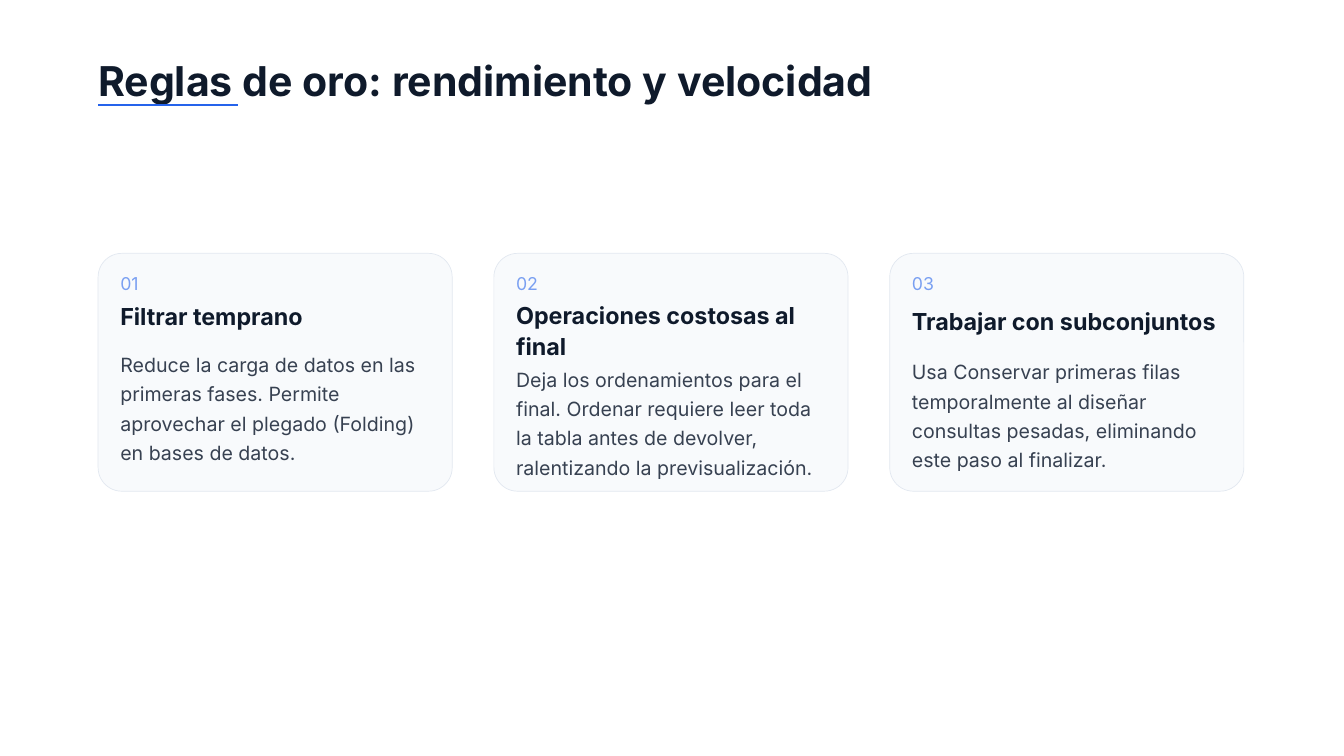
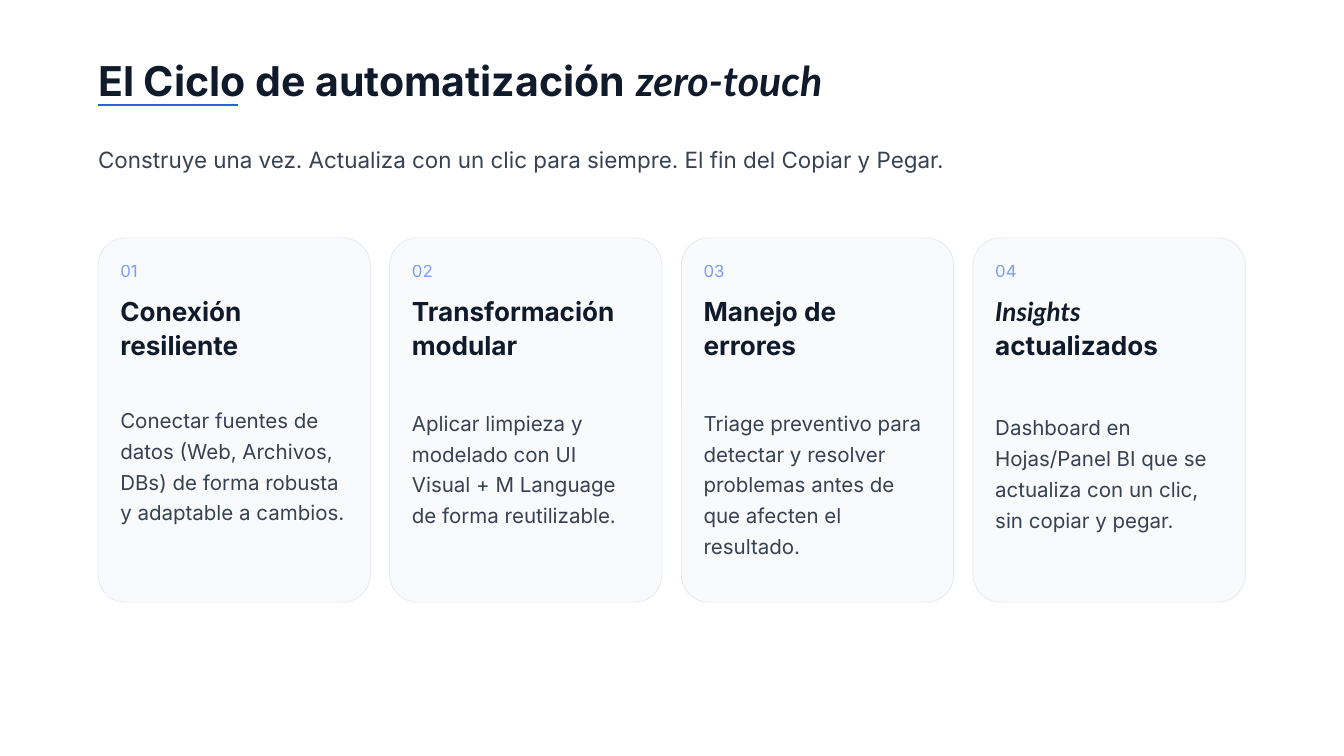
from lxml import etree
from pptx import Presentation
from pptx import util as u
from pptx.dml.color import RGBColor
from pptx.enum import shapes, text
from pptx.oxml.ns import qn

COLORS = {"ink": "0F1A2B", "body": "374151", "accent": "2563EB",
          "card": "F8FAFC", "border": "E2E8F0", "white": "FFFFFF"}
FORMATS = {
    "title": {"name": "Inter", "bold": True},
    "heading": {"name": "Inter", "bold": True},
    "body": {"name": "Inter"},
    "number": {"name": "Inter"},
}
TEXT_COLORS = {"title": "ink", "heading": "ink", "body": "body", "number": "accent"}
LEADING = {"title": 1.2, "heading": 1.3, "body": 1.5, "number": 1.4}
ITALIC = {"name": "Lato", "italic": True}
LEFT, WIDTH = 1.46, 17.08
PAD = 0.33


def rgb(name):
    return RGBColor.from_string(COLORS[name])


class Deck:
    def __init__(self):
        self.prs = Presentation()
        self.prs.slide_width, self.prs.slide_height = u.Inches(20), u.Inches(11.25)
        self.s = None

    def slide(self, title):
        self.s = self.prs.slides.add_slide(self.prs.slide_layouts[6])
        fill = self.s.background.fill
        fill.solid()
        fill.fore_color.rgb = rgb("white")
        self.text(LEFT, 0.83, WIDTH, "title", 44, title)
        self.rule(LEFT, 1.56, 2.08)

    def text(self, x, y, w, style, size, runs, lines=1):
        """Add a text box; runs is a string or a list of (text, extra format)."""
        leading = size * LEADING[style]
        box = self.s.shapes.add_textbox(u.Inches(x), u.Inches(y), u.Inches(w),
                                        u.Pt(lines * leading))
        tf = box.text_frame
        tf.word_wrap = True
        tf.auto_size = text.MSO_AUTO_SIZE.SHAPE_TO_FIT_TEXT
        for side in ("left", "top", "right", "bottom"):
            setattr(tf, f"margin_{side}", 0)
        p = tf.paragraphs[0]
        p.line_spacing = u.Pt(leading)
        for words, extra in [(runs, {})] if isinstance(runs, str) else runs:
            r = p.add_run()
            r.text = words
            for key, value in {**FORMATS[style], "size": u.Pt(size), **extra}.items():
                setattr(r.font, key, value)
            r.font.color.rgb = rgb(TEXT_COLORS[style])
            if style == "number":
                self.fade(r, 60)

    def fade(self, r, percent):
        """Set the opacity of a run's colour."""
        for color in r.font._element.iter(qn("a:srgbClr")):
            etree.SubElement(color, qn("a:alpha")).set("val", str(percent * 1000))

    def rule(self, x, y, w):
        line = self.s.shapes.add_connector(shapes.MSO_CONNECTOR.STRAIGHT, u.Inches(x),
                                           u.Inches(y), u.Inches(x + w), u.Inches(y))
        line.line.color.rgb = rgb("accent")
        line.line.width = u.Pt(2.25)
        etree.SubElement(line._element.spPr, qn("a:effectLst"))

    def panel(self, x, y, w, h):
        sp = self.s.shapes.add_shape(shapes.MSO_SHAPE.ROUNDED_RECTANGLE, u.Inches(x),
                                     u.Inches(y), u.Inches(w), u.Inches(h))
        sp.adjustments[0] = 0.1
        sp.shadow.inherit = False
        sp.fill.solid()
        sp.fill.fore_color.rgb = rgb("card")
        sp.line.color.rgb = rgb("border")
        sp.line.width = u.Pt(0.75)

    def cards(self, cards, top, w, h, gap, number_top, sizes):
        """Add a row of numbered cards: (heading, top, lines, body, top, lines)."""
        number_size, heading_size, body_size = sizes
        for i, (heading, head_top, head_lines, body, body_top, body_lines) in enumerate(cards):
            x = LEFT + i * (w + gap)
            inner = w - 2 * PAD
            self.panel(x, top, w, h)
            self.text(x + PAD, number_top, 0.62, "number", number_size, f"{i + 1:02}")
            self.text(x + PAD, head_top, inner, "heading", heading_size, heading, head_lines)
            self.text(x + PAD, body_top, inner, "body", body_size, body, body_lines)


def rules_slide(deck):
    deck.slide("Reglas de oro: rendimiento y velocidad")
    deck.cards([
        ("Filtrar temprano", 4.46, 1,
         "Reduce la carga de datos en las primeras fases. Permite aprovechar "
         "el plegado (Folding) en bases de datos.", 5.16, 4),
        ("Operaciones costosas al final", 4.45, 2,
         "Deja los ordenamientos para el final. Ordenar requiere leer toda la "
         "tabla antes de devolver, ralentizando la previsualización.", 5.38, 4),
        ("Trabajar con subconjuntos", 4.54, 1,
         "Usa Conservar primeras filas temporalmente al diseñar consultas "
         "pesadas, eliminando este paso al finalizar.", 5.27, 4),
    ], top=3.77, w=5.27, h=3.54, gap=0.62, number_top=4.01, sizes=(19, 25, 21))


def cycle_slide(deck):
    deck.slide([("El Ciclo de automatización ", {}), ("zero-touch", ITALIC)])
    deck.text(LEFT, 2.08, WIDTH, "body", 24,
              "Construye una vez. Actualiza con un clic para siempre. "
              "El fin del Copiar y Pegar.")
    deck.cards([
        ("Conexión resiliente", 4.36, 2,
         "Conectar fuentes de datos (Web, Archivos, DBs) de forma robusta y "
         "adaptable a cambios.", 5.98, 4),
        ("Transformación modular", 4.36, 2,
         "Aplicar limpieza y modelado con UI Visual + M Language de forma "
         "reutilizable.", 6.02, 4),
        ("Manejo de errores", 4.36, 2,
         "Triage preventivo para detectar y resolver problemas antes de que "
         "afecten el resultado.", 6.02, 5),
        ([("Insights ", ITALIC), ("actualizados", {})], 4.36, 2,
         "Dashboard en Hojas/Panel BI que se actualiza con un clic, sin "
         "copiar y pegar.", 6.09, 4),
    ], top=3.54, w=4.05, h=5.42, gap=0.29, number_top=3.83, sizes=(18, 28, 22))


def main():
    deck = Deck()
    rules_slide(deck)
    cycle_slide(deck)
    deck.prs.save("out.pptx")


if __name__ == "__main__":
    main()
